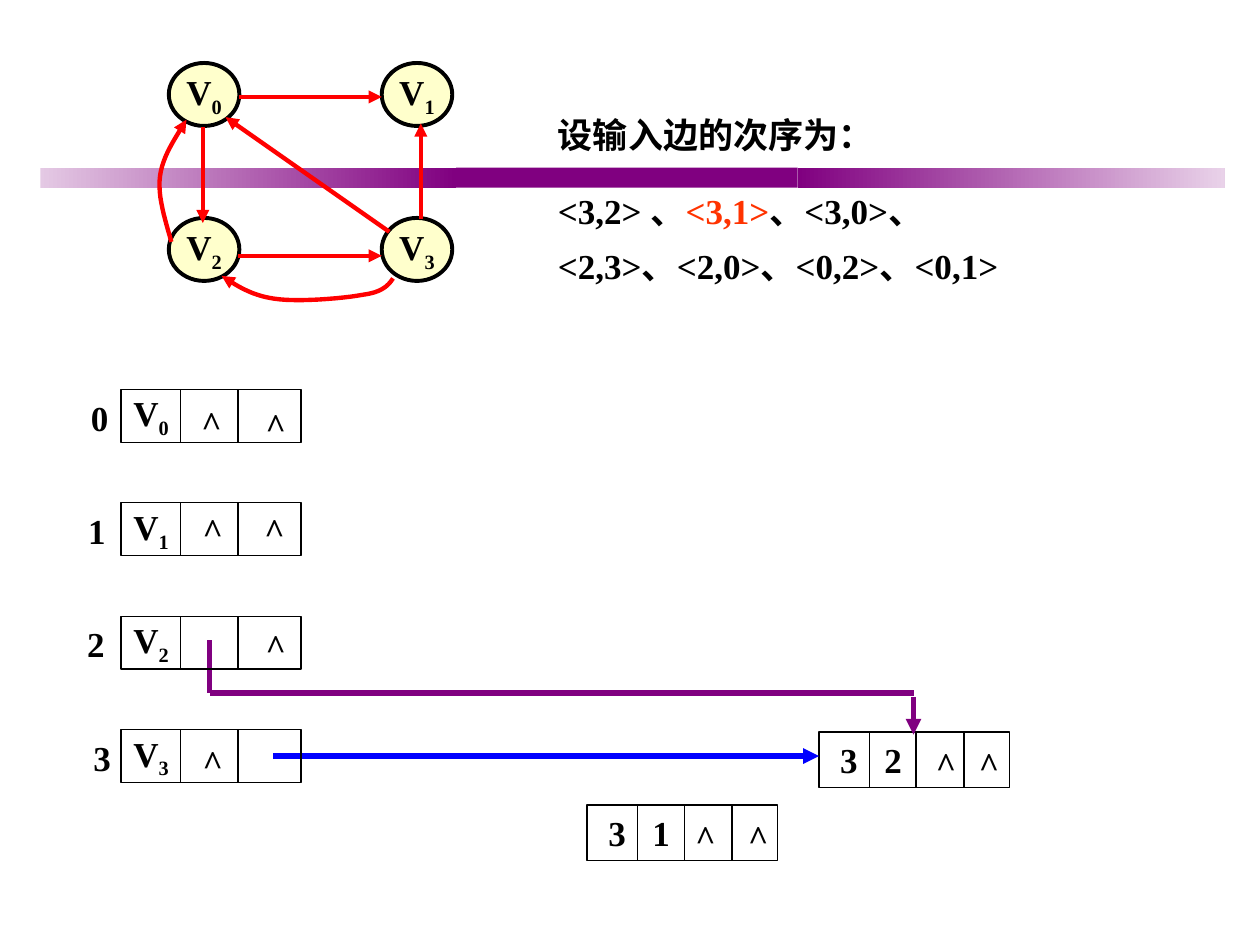
from lxml.etree import SubElement
from pptx import Presentation
from pptx.dml.color import RGBColor
from pptx.enum.shapes import MSO_CONNECTOR, MSO_SHAPE
from pptx.enum.text import MSO_ANCHOR as ANCHOR, PP_ALIGN as ALIGN
from pptx.oxml.ns import qn
from pptx.util import Inches, Pt

COLORS = {
    "black": "000000", "purple": "800080", "fade_left": "E4C9E4",
    "fade_right": "E9D2E9", "node": "FFFFCC", "edge": "FF0000",
    "current": "FF3300", "out_link": "0000FF",
}
FONT = "Times New Roman"


def rgb(name):
    return RGBColor.from_string(COLORS[name])


def style_font(p):
    f = p.font
    f.name, f.size, f.bold = FONT, Pt(20), True
    f.color.rgb = rgb("black")


def add_box(s, kind, x, y, w, h, fill=None, line=None, width=0.75):
    sp = s.shapes.add_shape(kind, Inches(x), Inches(y), Inches(w), Inches(h))
    sp.shadow.inherit = False
    if fill:
        sp.fill.solid()
        sp.fill.fore_color.rgb = rgb(fill)
    else:
        sp.fill.background()
    if line:
        sp.line.color.rgb = rgb(line)
        sp.line.width = Pt(width)
    else:
        sp.line.fill.background()
    return sp


def style_line(ln, color, width, arrow):
    ln.line.color.rgb = rgb(color)
    ln.line.width = Pt(width)
    if arrow:
        SubElement(ln.line._get_or_add_ln(), qn("a:tailEnd"), type="triangle")


def add_line(s, x1, y1, x2, y2, color="black", width=0.75, arrow=False):
    ln = s.shapes.add_connector(MSO_CONNECTOR.STRAIGHT, Inches(x1), Inches(y1),
                                Inches(x2), Inches(y2))
    style_line(ln, color, width, arrow)
    SubElement(ln._element.spPr, qn("a:effectLst"))


def add_curve(s, start, beziers, steps=12):
    """Draw an arrow along cubic Bezier pieces, each two controls and an end."""
    points, p0 = [], start
    for c1, c2, p3 in beziers:
        for i in range(1, steps + 1):
            t = i / steps
            u = 1 - t
            points.append(tuple(
                Inches(u**3 * a + 3 * u * u * t * b + 3 * u * t * t * c + t**3 * d)
                for a, b, c, d in zip(p0, c1, c2, p3)))
        p0 = p3
    fb = s.shapes.build_freeform(Inches(start[0]), Inches(start[1]))
    fb.add_line_segments(points, close=False)
    sp = fb.convert_to_shape()
    sp.shadow.inherit = False
    sp.fill.background()
    style_line(sp, "edge", 2.5, True)


def add_symbol(s, text, x, y, w=0.36, align=ALIGN.LEFT):
    tf = s.shapes.add_textbox(Inches(x), Inches(y), Inches(w), Inches(0.44)).text_frame
    tf.word_wrap = False
    tf.vertical_anchor = ANCHOR.MIDDLE
    p = tf.paragraphs[0]
    p.text, p.alignment = text, align
    style_font(p)


def write_vertex(sp, number, align):
    tf = sp.text_frame
    tf.word_wrap = False
    tf.vertical_anchor = ANCHOR.MIDDLE
    p = tf.paragraphs[0]
    p.alignment = align
    style_font(p)
    p.add_run().text = "V"
    r = p.add_run()
    r.text = str(number)
    r.font._element.set("baseline", "-25000")


def draw_band(s, x, y, h):
    parts = [(3.3, "fade_left", "purple"), (2.71, "purple", None),
             (3.39, "purple", "fade_right")]
    for w, first, last in parts:
        sp = add_box(s, MSO_SHAPE.RECTANGLE, x, y, w, h, first)
        if last:
            sp.fill.gradient()
            sp.fill.gradient_angle = 0
            for stop, name in zip(sp.fill.gradient_stops, (first, last)):
                stop.color.rgb = rgb(name)
        x += w


def draw_edge_order(s, x, y, w, h):
    tf = s.shapes.add_textbox(Inches(x), Inches(y), Inches(w), Inches(h)).text_frame
    tf.word_wrap = True
    lines = [
        [("设输入边的次序为：", "black")],
        [("<3,2> 、", "black"), ("<3,1>", "current"),
         ("、<3,0>、 <2,3>、<2,0>、<0,2>、<0,1>", "black")],
    ]
    for i, runs in enumerate(lines):
        p = tf.add_paragraph() if i else tf.paragraphs[0]
        p.line_spacing = 1.3
        p.space_before = Pt(12.5 if i else 0)
        style_font(p)
        for text, color in runs:
            r = p.add_run()
            r.text = text
            r.font.color.rgb = rgb(color)


def draw_cells(s, x, y, w, h, dividers):
    sp = add_box(s, MSO_SHAPE.RECTANGLE, x, y, w, h, line="black")
    for dx in dividers:
        add_line(s, x + dx, y, x + dx, y + h)
    return sp


def draw_arc_node(s, x, y, symbols):
    """Draw a tail, head and two links, as (symbol, offset) pairs."""
    draw_cells(s, x, y, 1.51, 0.44, (0.4, 0.77, 1.15))
    for text, dx in symbols:
        add_symbol(s, text, x + dx, y + (0.03 if text == "^" else 0))


def draw_vertex_list(s, x, y, pitch):
    # Index offset, then offsets of the null marks in the row
    rows = [
        (-0.34, [(0.54, 0.04), (1.05, 0.06)]),
        (-0.36, [(0.55, -0.01), (1.04, -0.01)]),
        (-0.37, [(1.05, 0.01)]),
        (-0.32, [(0.55, 0.03)]),
    ]
    for i, (index_dx, nulls) in enumerate(rows):
        top = y + i * pitch
        sp = draw_cells(s, x, top, 1.43, 0.42, (0.47, 0.93))
        write_vertex(sp, i, ALIGN.LEFT)
        add_symbol(s, str(i), x + index_dx, top, 0.34, ALIGN.CENTER)
        for dx, dy in nulls:
            add_symbol(s, "^", x + dx, top + dy)


def draw_links(s):
    add_line(s, 2.17, 6, 6.5, 6, "out_link", 3, True)
    add_line(s, 1.66, 5.08, 1.66, 5.5, "purple", 3)
    add_line(s, 1.67, 5.5, 7.25, 5.5, "purple", 3)
    add_line(s, 7.25, 5.53, 7.25, 5.83, "purple", 3, True)


def draw_graph(s, x, y):
    for i in range(4):
        row, col = divmod(i, 2)
        sp = add_box(s, MSO_SHAPE.OVAL, x + 1.69 * col, y + 1.23 * row,
                     0.56, 0.5, "node", "black", 2.25)
        write_vertex(sp, i, ALIGN.CENTER)
    edges = [(0.56, 0.27, 1.69, 0.27), (0.55, 1.53, 1.69, 1.53),
             (0.27, 0.51, 0.27, 1.27), (1.75, 1.34, 0.45, 0.43),
             (2, 1.24, 2, 0.48)]
    for x1, y1, x2, y2 in edges:
        add_line(s, x + x1, y + y1, x + x2, y + y2, "edge", 2.5, True)

    def at(*points):
        return [(x + dx, y + dy) for dx, dy in points]

    add_curve(s, *at((1.78, 1.71)), [
        at((1.74, 1.77), (1.69, 1.82), (1.54, 1.84)),
        at((1.38, 1.87), (1.01, 1.9), (0.83, 1.87)),
        at((0.64, 1.84), (0.53, 1.76), (0.42, 1.69))])
    add_curve(s, *at((0.02, 1.42)), [
        at((-0.03, 1.24), (-0.09, 1.06), (-0.07, 0.9)),
        at((-0.05, 0.74), (0.05, 0.6), (0.14, 0.45))])


def main():
    prs = Presentation()
    prs.slide_width, prs.slide_height = Inches(10), Inches(7.5)
    s = prs.slides.add_slide(prs.slide_layouts[6])
    draw_band(s, 0.32, 1.33, 0.16)
    draw_arc_node(s, 4.66, 6.39, [("3", 0.07), ("1", 0.42), ("^", 0.76), ("^", 1.18)])
    draw_arc_node(s, 6.5, 5.81, [("3", 0.07), ("2", 0.42), ("^", 0.83), ("^", 1.17)])
    draw_links(s)
    draw_vertex_list(s, 0.96, 3.09, 0.9)
    draw_edge_order(s, 4.33, 0.75, 3.75, 2.01)
    draw_graph(s, 1.34, 0.5)
    prs.save("out.pptx")


if __name__ == "__main__":
    main()
